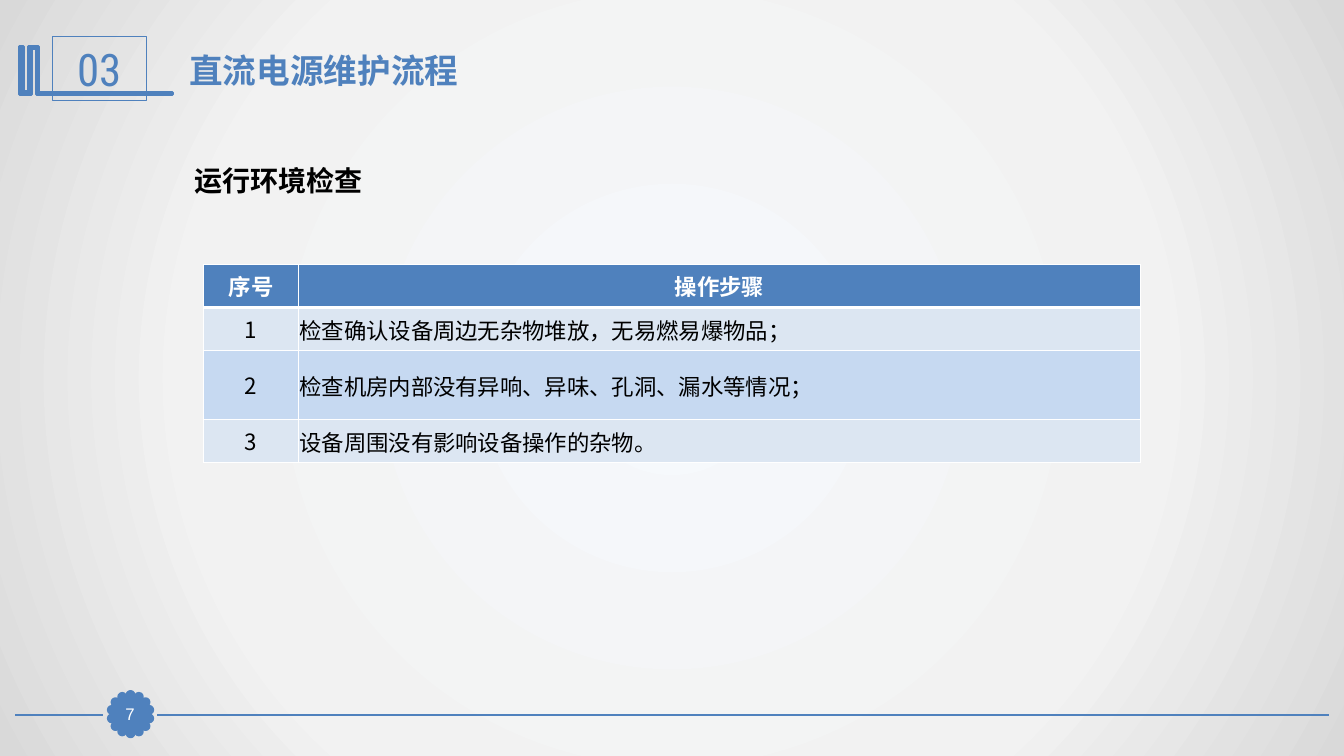
import math

import lxml.etree
import pptx
import pptx.dml.color
import pptx.enum.shapes
import pptx.enum.text
import pptx.oxml
import pptx.oxml.ns
import pptx.util

NUMBER = "03"
TITLE = "直流电源维护流程"
SUBTITLE = "运行环境检查"
PAGE = "7"
STEPS = [
    ("序号", "操作步骤"),
    ("1", "检查确认设备周边无杂物堆放，无易燃易爆物品；"),
    ("2", "检查机房内部没有异响、异味、孔洞、漏水等情况；"),
    ("3", "设备周围没有影响设备操作的杂物。"),
]
COL_WIDTHS = [0.94, 8.35]
ROW_HEIGHTS = [0.43, 0.43, 0.68, 0.43]
FOOTER_LINES = [(13.18, 1.56), (1.02, 0.15)]
FOOTER_Y = 7.09
BADGE = (1.295, 7.085)
PETALS, PETAL_SIZE, PETAL_RADIUS = 14, 0.07, 0.19
ORNAMENT = [
    (0.38, 0.46), (0.38, 0.92), (1.71, 0.92), (1.71, 0.94), (0.36, 0.94),
    (0.36, 0.48), (0.31, 0.48), (0.31, 0.94), (0.19, 0.94), (0.19, 0.46),
    (0.23, 0.46), (0.23, 0.91), (0.28, 0.91), (0.28, 0.46),
]
COLORS = {
    "blue": "4F81BD", "white": "FFFFFF", "black": "000000",
    "band_light": "DCE6F2", "band_dark": "C6D9F1",
}
BACKGROUND = [(0, "F6F9FC"), (63, "F2F2F2"), (100, "D9D9D9")]
CJK = "Noto Sans CJK SC"

Inches = pptx.util.Inches
Pt = pptx.util.Pt
qn = pptx.oxml.ns.qn
SHAPE = pptx.enum.shapes.MSO_SHAPE
ALIGN = pptx.enum.text.PP_ALIGN
MIDDLE = pptx.enum.text.MSO_ANCHOR.MIDDLE


def rgb(name):
    return pptx.dml.color.RGBColor.from_string(COLORS[name])


def write(tf, text, size=16, font=CJK, color="black", bold=False, align=ALIGN.LEFT):
    p = tf.paragraphs[0]
    p.alignment = align
    r = p.add_run()
    r.text = text
    r.font.size = Pt(size)
    r.font.name = font
    r.font.bold = bold
    r.font.color.rgb = rgb(color)
    ea = lxml.etree.SubElement(r._r.get_or_add_rPr(), qn("a:ea"))
    ea.set("typeface", CJK)


def style(sp, fill="blue", width=2):
    sp.shadow.inherit = False
    if fill:
        sp.fill.solid()
        sp.fill.fore_color.rgb = rgb(fill)
    else:
        sp.fill.background()
    sp.line.color.rgb = rgb("blue")
    sp.line.width = Pt(width)


def add_shape(s, kind, box, **look):
    sp = s.shapes.add_shape(kind, *map(Inches, box))
    style(sp, **look)
    return sp


def add_label(s, box, text, **look):
    tf = s.shapes.add_textbox(*map(Inches, box)).text_frame
    tf.word_wrap = True
    write(tf, text, **look)


def set_background(s):
    s.background.fill.gradient()
    grad = s.background._cSld.find(".//" + qn("a:gradFill"))
    for child in list(grad):
        grad.remove(child)
    stops = lxml.etree.SubElement(grad, qn("a:gsLst"))
    for pos, color in BACKGROUND:
        gs = lxml.etree.SubElement(stops, qn("a:gs"), pos=str(pos * 1000))
        lxml.etree.SubElement(gs, qn("a:srgbClr"), val=color)
    circle = lxml.etree.SubElement(grad, qn("a:path"), path="circle")
    sides = dict.fromkeys("ltrb", "50000")
    lxml.etree.SubElement(circle, qn("a:fillToRect"), **sides)


def set_borders(cell, widths):
    tcPr = cell._tc.get_or_add_tcPr()
    for side, width in widths.items():
        ln = lxml.etree.SubElement(tcPr, qn("a:ln" + side), w=str(Pt(width)))
        fill = lxml.etree.SubElement(ln, qn("a:solidFill"))
        lxml.etree.SubElement(fill, qn("a:srgbClr"), val=COLORS["white"])


def add_footer(s):
    for start, end in FOOTER_LINES:
        line = s.shapes.add_connector(
            pptx.enum.shapes.MSO_CONNECTOR.STRAIGHT,
            Inches(start), Inches(FOOTER_Y), Inches(end), Inches(FOOTER_Y))
        line.line.color.rgb = rgb("blue")
        line.line.width = Pt(1.25)
        lxml.etree.SubElement(line._element.spPr, qn("a:effectLst"))
    cx, cy = BADGE
    for i in range(PETALS):
        angle = 2 * math.pi * i / PETALS
        x = cx + PETAL_RADIUS * math.sin(angle) - PETAL_SIZE / 2
        y = cy - PETAL_RADIUS * math.cos(angle) - PETAL_SIZE / 2
        add_shape(s, SHAPE.OVAL, (x, y, PETAL_SIZE, PETAL_SIZE))
    sp = add_shape(s, SHAPE.RECTANGLE, (1.13, 6.93, 0.32, 0.31), width=0.75)
    tf = sp.text_frame
    tf.margin_left = tf.margin_right = tf.margin_top = tf.margin_bottom = 0
    tf.vertical_anchor = MIDDLE
    write(tf, PAGE, size=12, font="Arial", color="white", align=ALIGN.CENTER)


def add_header(s):
    fb = s.shapes.build_freeform(Inches(0.37), Inches(0.46))
    fb.add_line_segments([(Inches(x), Inches(y)) for x, y in ORNAMENT], close=True)
    style(fb.convert_to_shape())
    sp = add_shape(s, SHAPE.RECTANGLE, (0.52, 0.36, 0.93, 0.64), fill=None, width=0.75)
    sp.text_frame.vertical_anchor = MIDDLE
    write(sp.text_frame, NUMBER, size=32, font="Roboto Condensed", color="blue",
          align=ALIGN.CENTER)
    add_label(s, (1.78, 0.45, 4.93, 0.5), TITLE, size=24, color="blue", bold=True)
    add_label(s, (1.83, 1.57, 4.65, 0.44), SUBTITLE, size=20, font="Arial", bold=True)


def add_steps(s):
    table = s.shapes.add_table(
        len(STEPS), len(COL_WIDTHS), Inches(2.02), Inches(2.62),
        Inches(sum(COL_WIDTHS)), Inches(sum(ROW_HEIGHTS))).table
    for col, width in zip(table.columns, COL_WIDTHS):
        col.width = Inches(width)
    for row, height in zip(table.rows, ROW_HEIGHTS):
        row.height = Inches(height)
    for i, step in enumerate(STEPS):
        head = i == 0
        for j, text in enumerate(step):
            cell = table.cell(i, j)
            set_borders(cell, {"L": 1, "R": 1, "T": 3 if i == 1 else 1, "B": 3 if head else 1})
            cell.fill.solid()
            band = "band_light" if i % 2 else "band_dark"
            cell.fill.fore_color.rgb = rgb("blue" if head else band)
            cell.vertical_anchor = MIDDLE
            body = j == 1 and not head
            if body:
                cell.margin_left = cell.margin_right = cell.margin_top = Inches(0.01)
                cell.margin_bottom = 0
            write(cell.text_frame, text, color="white" if head else "black", bold=head,
                  align=ALIGN.LEFT if body else ALIGN.CENTER)


def main():
    prs = pptx.Presentation()
    prs.slide_width = Inches(13.33)
    prs.slide_height = Inches(7.5)
    s = prs.slides.add_slide(prs.slide_layouts[6])
    set_background(s)
    add_footer(s)
    add_header(s)
    add_steps(s)
    prs.save("out.pptx")


if __name__ == "__main__":
    main()
